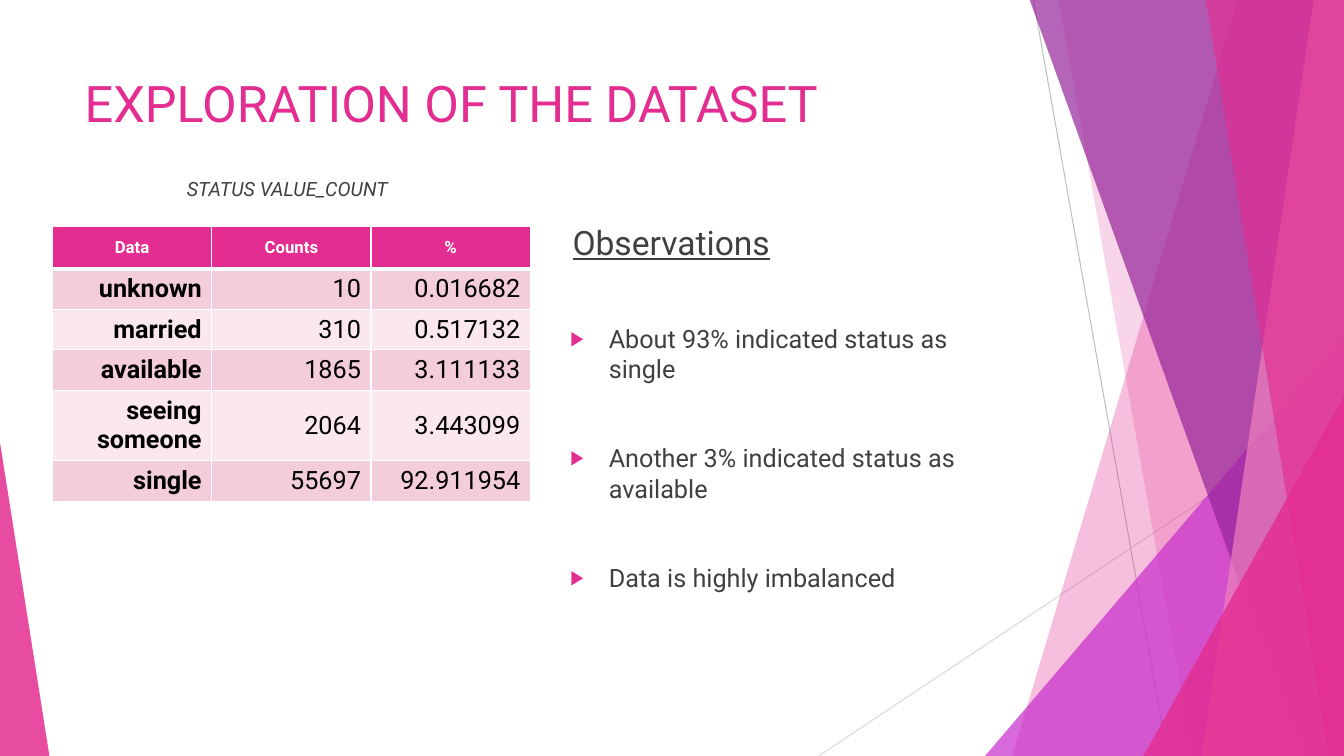
"""Builds the slide on the exploration of the dataset."""
from lxml import etree
from pptx import Presentation
from pptx.dml.color import RGBColor
from pptx.enum.shapes import MSO_CONNECTOR, MSO_SHAPE
from pptx.enum.text import MSO_ANCHOR, PP_ALIGN
from pptx.oxml.ns import qn
from pptx.util import Inches, Pt

STRAIGHT = MSO_CONNECTOR.STRAIGHT
TRIANGLE = MSO_SHAPE.ISOSCELES_TRIANGLE
TOP, MIDDLE, BOTTOM = MSO_ANCHOR.TOP, MSO_ANCHOR.MIDDLE, MSO_ANCHOR.BOTTOM
LEFT, CENTER, RIGHT = PP_ALIGN.LEFT, PP_ALIGN.CENTER, PP_ALIGN.RIGHT

PINK = RGBColor(0xE3, 0x2D, 0x91)
LIGHT_PINK = RGBColor(0xEE, 0x81, 0xBD)
MAGENTA = RGBColor(0xC8, 0x30, 0xCC)
PURPLE = RGBColor(0x96, 0x24, 0x99)
DARK_BAND = RGBColor(0xF4, 0xCD, 0xDC)
LIGHT_BAND = RGBColor(0xFA, 0xE8, 0xEE)
GREY = RGBColor(0xBF, 0xBF, 0xBF)
PALE_GREY = RGBColor(0xD9, 0xD9, 0xD9)
TEXT_GREY = RGBColor(0x40, 0x40, 0x40)
WHITE = RGBColor(0xFF, 0xFF, 0xFF)
BLACK = RGBColor(0, 0, 0)

WIDTH, HEIGHT = 13.33, 7.5
STATUS_COUNTS = [
    ("Data", "Counts", "%"),
    ("unknown", "10", "0.016682"),
    ("married", "310", "0.517132"),
    ("available", "1865", "3.111133"),
    ("seeing someone", "2064", "3.443099"),
    ("single", "55697", "92.911954"),
]
ROW_HEIGHTS = [0.42, 0.4, 0.4, 0.4, 0.69, 0.4]
OBSERVATIONS = [
    "About 93% indicated status as single",
    "Another 3% indicated status as available",
    "Data is highly imbalanced",
]


class SlideBuilder:
    """Holds the font and the current slide and adds each kind of element."""

    def __init__(self, slide, font):
        self.slide = slide
        self.shapes = slide.shapes
        self.font = font

    def add_text(self, paragraph, text, size, color, align=LEFT, bold=None,
                 italic=None, underline=None):
        paragraph.alignment = align
        run = paragraph.add_run()
        run.text = text
        run.font.name = self.font
        run.font.size = Pt(size)
        run.font.color.rgb = color
        run.font.bold = bold
        run.font.italic = italic
        run.font.underline = underline

    def title(self, box, text, size, color):
        heading = self.shapes.title
        heading.left, heading.top, heading.width, heading.height = map(Inches, box)
        heading.text_frame.vertical_anchor = TOP
        self.add_text(heading.text_frame.paragraphs[0], text, size, color)

    def frame(self, box, anchor):
        frame = self.shapes.add_textbox(*map(Inches, box)).text_frame
        frame.word_wrap = True
        frame.vertical_anchor = anchor
        return frame

    def label(self, box, text, size, align=LEFT, **emphasis):
        frame = self.frame(box, BOTTOM)
        self.add_text(frame.paragraphs[0], text, size, TEXT_GREY, align, **emphasis)

    def bullets(self, box, items, size, gap):
        frame = self.frame(box, TOP)
        for index, item in enumerate(items):
            paragraph = frame.add_paragraph() if index else frame.paragraphs[0]
            paragraph.space_before = Pt(gap if index else 0)
            self.add_text(paragraph, item, size, TEXT_GREY)
            properties = paragraph._p.get_or_add_pPr()
            properties.set("marL", str(Inches(0.38)))
            properties.set("indent", str(-Inches(0.38)))
            color = etree.SubElement(properties, qn("a:buClr"))
            etree.SubElement(color, qn("a:srgbClr"), val=str(PINK))
            etree.SubElement(properties, qn("a:buSzPct"), val="80000")
            etree.SubElement(properties, qn("a:buFont"), typeface="Arial")
            etree.SubElement(properties, qn("a:buChar"), char="\u25b6")

    def line(self, start, end, color):
        rule = self.shapes.add_connector(STRAIGHT, *map(Inches, start + end))
        rule.line.color.rgb = color
        rule.line.width = Pt(0.75)
        etree.SubElement(rule._element.spPr, qn("a:effectLst"))

    def tint(self, facet, color, opacity):
        facet.shadow.inherit = False
        facet.line.fill.background()
        facet.fill.solid()
        facet.fill.fore_color.rgb = color
        rgb = facet._element.spPr.find(qn("a:solidFill")).find(qn("a:srgbClr"))
        etree.SubElement(rgb, qn("a:alpha"), val=str(opacity * 1000))

    def facet(self, top_left, bottom_left, color, opacity):
        corners = [(WIDTH, -0.01), (WIDTH, HEIGHT), (bottom_left, HEIGHT)]
        outline = self.shapes.build_freeform(Inches(top_left), Inches(-0.01))
        outline.add_line_segments([tuple(map(Inches, c)) for c in corners], close=True)
        self.tint(outline.convert_to_shape(), color, opacity)

    def triangle(self, box, apex, color, opacity):
        corner = self.shapes.add_shape(TRIANGLE, *map(Inches, box))
        corner.adjustments[0] = apex
        self.tint(corner, color, opacity)

    def borders(self, cell, widths):
        properties = cell._tc.get_or_add_tcPr()
        for side in ("L", "R", "T", "B"):
            width = str(Pt(widths.get(side, 1)))
            edge = etree.SubElement(properties, qn(f"a:ln{side}"), w=width)
            fill = etree.SubElement(edge, qn("a:solidFill"))
            etree.SubElement(fill, qn("a:srgbClr"), val=str(WHITE))

    def table(self, box, rows, heights):
        grid = self.shapes.add_table(len(rows), len(rows[0]), *map(Inches, box)).table
        for r, (values, height) in enumerate(zip(rows, heights)):
            grid.rows[r].height = Inches(height)
            band = DARK_BAND if r % 2 else LIGHT_BAND
            thick = {0: {"B": 3}, 1: {"T": 3}}.get(r, {})
            for c, value in enumerate(values):
                cell = grid.cell(r, c)
                self.borders(cell, thick)
                cell.fill.solid()
                cell.fill.fore_color.rgb = band if r else PINK
                cell.vertical_anchor = MIDDLE
                style = (18, BLACK, RIGHT) if r else (12, WHITE, CENTER)
                self.add_text(cell.text_frame.paragraphs[0], value, *style,
                              bold=r == 0 or c == 0)


deck = Presentation()
deck.slide_width, deck.slide_height = Inches(WIDTH), Inches(HEIGHT)
page = SlideBuilder(deck.slides.add_slide(deck.slide_layouts[5]), "Roboto")

page.line((10.25, 0), (11.58, HEIGHT), GREY)
page.line((WIDTH, 4.03), (8.12, HEIGHT), PALE_GREY)
page.facet(12.28, 10.04, PINK, 30)
page.facet(10.5, 11.83, PINK, 20)
page.triangle((9.77, 3.33, 3.56, 4.17), 1, MAGENTA, 72)
page.facet(10.21, 12.91, PURPLE, 70)
page.facet(13.03, 11.92, LIGHT_PINK, 70)
page.facet(11.96, 13.18, PINK, 65)
page.triangle((11.34, 3.93, 1.99, 3.57), 1, PINK, 80)
page.triangle((0, 4.39, 0.49, 3.11), 0, PINK, 85)

page.title((0.74, 0.67, 9.4, 1.44), "EXPLORATION OF THE DATASET", 36, PINK)
page.label((5.58, 2.02, 4.58, 0.63), "Observations", 24, underline=True)
page.bullets((5.56, 3.16, 4.58, 3.45), OBSERVATIONS, 18, 42)
page.table((0.52, 2.25, 4.74, 2.71), STATUS_COUNTS, ROW_HEIGHTS)
page.label((0.79, 1.53, 4.12, 0.51), "STATUS VALUE_COUNT", 14, CENTER, italic=True)

deck.save("out.pptx")
